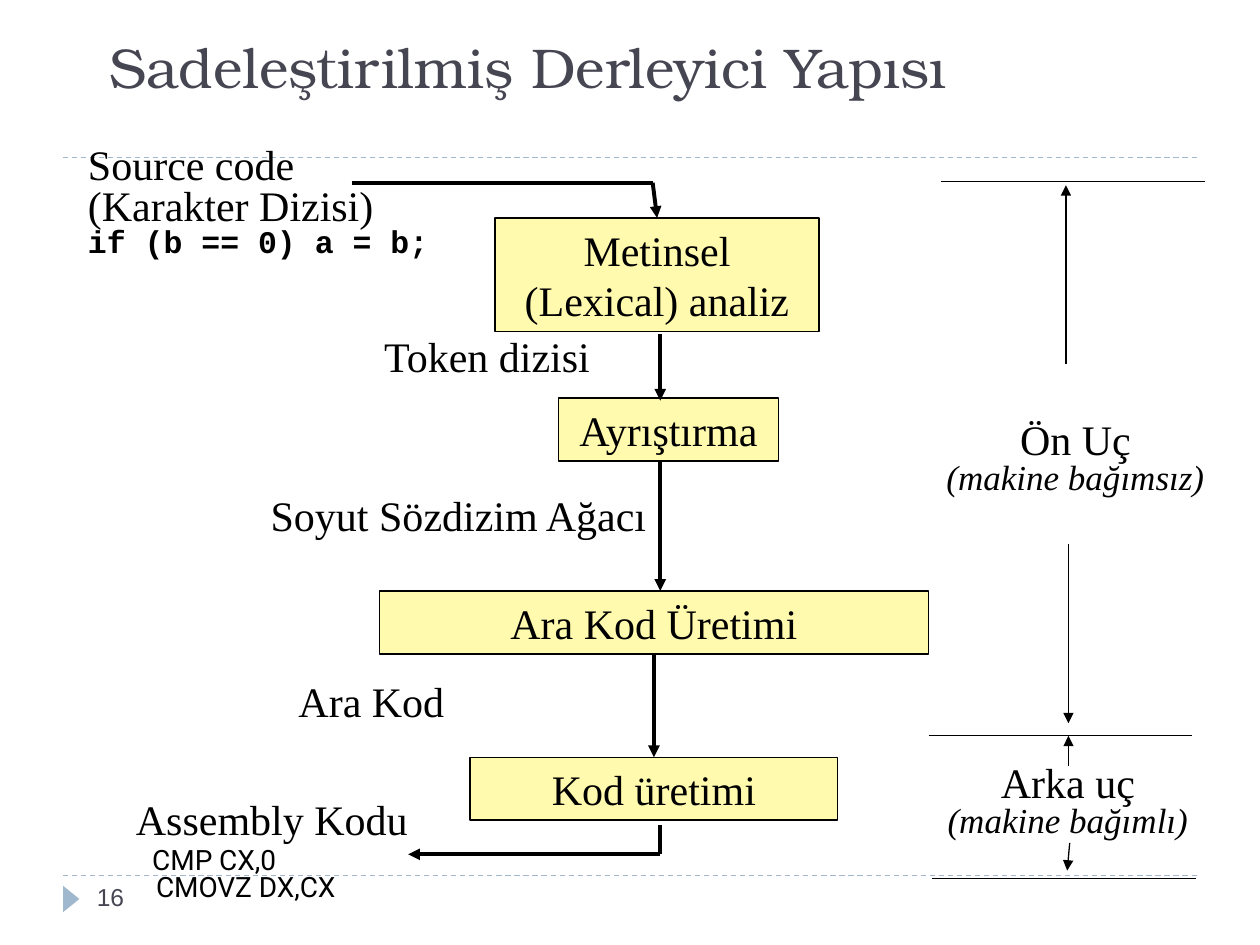
from pptx import Presentation
from pptx.dml.color import RGBColor
from pptx.enum.dml import MSO_LINE
from pptx.enum.shapes import MSO_CONNECTOR, MSO_SHAPE
from pptx.enum.text import MSO_ANCHOR, PP_ALIGN
from pptx.oxml.ns import qn
from pptx.util import Inches, Pt
from lxml import etree

RECT, TRI = MSO_SHAPE.RECTANGLE, MSO_SHAPE.ISOSCELES_TRIANGLE
STRAIGHT, DASH = MSO_CONNECTOR.STRAIGHT, MSO_LINE.DASH
LEFT, MID = PP_ALIGN.LEFT, PP_ALIGN.CENTER
TOP, BOTTOM = MSO_ANCHOR.TOP, MSO_ANCHOR.BOTTOM
THEME = {
    "ink": RGBColor.from_string("000000"),
    "title": RGBColor.from_string("464653"),
    "rule": RGBColor.from_string("9FB8CD"),
    "box": RGBColor.from_string("FFFAAE"),
    "serif": "Times New Roman", "head": "TeX Gyre Bonum",
    "code": "Courier New", "asm": "Roboto", "sans": "Arial",
    "huge": 32, "large": 24, "note": 20, "small": 18, "tiny": 16, "page": 14,
    "thin": 0.75, "thick": 2.25,
}

deck = Presentation()
deck.slide_width, deck.slide_height = Inches(10), Inches(7.5)
COL, ROW = deck.slide_width / 100, deck.slide_height / 75
slide = deck.slides.add_slide(deck.slide_layouts[6])
shapes = slide.shapes


def write(text, at=None, shape=None, font="serif", size="large", color="ink",
          align=LEFT, anchor=TOP, pitch=0.8, last=()):
    """Write text in a shape or a new box; each item of last is a further
    line as (text, format), with its own font, size, bold, italic, pad or gap."""
    if shape is None:
        x, y, w, h = at
        shape = shapes.add_textbox(int(x * COL), int(y * ROW), int(w * COL), int(h * ROW))
    frame = shape.text_frame
    frame.word_wrap, frame.vertical_anchor = True, anchor
    for i, (line, look) in enumerate([(text, {}), *last]):
        para = frame.add_paragraph() if i else frame.paragraphs[0]
        para.alignment, para.line_spacing = align, pitch
        if "pad" in look:
            para._p.get_or_add_pPr().set("marL", str(int(look["pad"] * COL)))
        if "gap" in look:
            para.space_before = Pt(look["gap"])
        run = para.add_run()
        run.text = line
        run.font.name = THEME[look.get("font", font)]
        run.font.size = Pt(THEME[look.get("size", size)])
        run.font.bold = look.get("bold", False)
        run.font.italic = look.get("italic", False)
        run.font.color.rgb = THEME[color]


def draw(x1, y1, x2, y2, weight="thin", color="ink", head=False, dash=False):
    line = shapes.add_connector(STRAIGHT, int(x1 * COL), int(y1 * ROW),
                                int(x2 * COL), int(y2 * ROW))
    line.line.color.rgb, line.line.width = THEME[color], Pt(THEME[weight])
    if dash:
        line.line.dash_style = DASH
    if head:
        etree.SubElement(line.line._get_or_add_ln(), qn("a:tailEnd"), type="triangle")
    etree.SubElement(line._element.spPr, qn("a:effectLst"))
    return line


# Frame: dashed rules, page mark, title
for y in (69.5, 12.5):
    draw(5, y, 95, y, color="rule", dash=True)
mark = shapes.add_shape(TRI, int(4.6 * COL), int(70.7 * ROW), int(2.1 * COL), int(1.3 * ROW))
mark.rotation = 90
mark.shadow.inherit = False
mark.fill.solid()
mark.fill.fore_color.rgb = THEME["rule"]
mark.line.fill.background()
write("Sadeleştirilmiş Derleyici Yapısı", (7.7, 1.6, 85, 6.8), font="head", size="huge",
      color="title", anchor=BOTTOM, pitch=1)

# Compiler stages
stages = []
for text, x, y, w, h in (
    ("Metinsel (Lexical) analiz", 39.3, 17.3, 25.7, 9),
    ("Ayrıştırma", 44.3, 31.6, 17.5, 5),
    ("Ara Kod Üretimi", 30.1, 46.9, 43.6, 5),
    ("Kod üretimi", 37.3, 60.1, 29.2, 5),
):
    box = shapes.add_shape(RECT, int(x * COL), int(y * ROW), int(w * COL), int(h * ROW))
    box.shadow.inherit = False
    box.fill.solid()
    box.fill.fore_color.rgb = THEME["box"]
    box.line.color.rgb, box.line.width = THEME["ink"], Pt(THEME["thin"])
    write(text, shape=box, align=MID, pitch=1)
    stages.append(box)
lexer, parser, middle, target = stages

# Data passed between the stages
write("Source code", (6, 11.3, 30, 9.8), last=[
    ("(Karakter Dizisi)", {}),
    ("if (b == 0) a = b;", {"font": "code", "size": "small", "bold": True})])
for text, x, y, w in (("Token dizisi", 29.5, 26.5, 19.6),
                      ("Soyut Sözdizim Ağacı", 20.5, 39.1, 33),
                      ("Ara Kod", 22.7, 53.9, 14.5)):
    write(text, (x, y, w, 4.2))
asm = {"font": "asm", "size": "tiny"}
write("Assembly Kodu", (9.8, 63.3, 24.5, 9), last=[
    ("CMP CX,0", {**asm, "pad": 1.3, "gap": 3}),
    ("CMOVZ DX,CX", {**asm, "pad": 1.6})])

# Flow through the stages
draw(27.9, 14.5, 51.8, 14.5, "thick")
draw(51.8, 14.5, 52, 17.3, "thick", head=True).end_connect(lexer, 0)
draw(52.4, 26.5, 52.4, 31.8, "thick", head=True)
draw(52.4, 36.7, 52.4, 46.9, "thick", head=True)
flow = draw(52.2, 52, 52.2, 59.7, "thick", head=True)
flow.begin_connect(middle, 2)
flow.end_connect(target, 0)
draw(52.4, 65.5, 52.4, 67.8, "thick")
draw(52.4, 67.8, 32.4, 67.8, "thick", head=True)

# Front end and back end spans
for x, y in ((74.7, 14.4), (73.7, 58.4), (74, 69.7)):
    draw(x, y, x + 20.9, y)
for x1, y1, x2, y2 in ((84.6, 28.9, 84.6, 14.7), (84.8, 60.8, 84.8, 58.4),
                       (84.8, 43.2, 84.8, 57.4), (84.9, 66.9, 84.7, 69.1)):
    draw(x1, y1, x2, y2, head=True)
for text, note, x, y, w in (("Ön Uç", "(makine bağımsız)", 73.6, 33.1, 23.5),
                            ("Arka uç", "(makine bağımlı)", 73.7, 60.3, 22.1)):
    write(text, (x, y, w, 6.9), align=MID,
          last=[(note, {"size": "note", "italic": True})])

write("16", (6.7, 69.5, 21.7, 4), font="sans", size="page", color="title", pitch=1)

deck.save("out.pptx")
